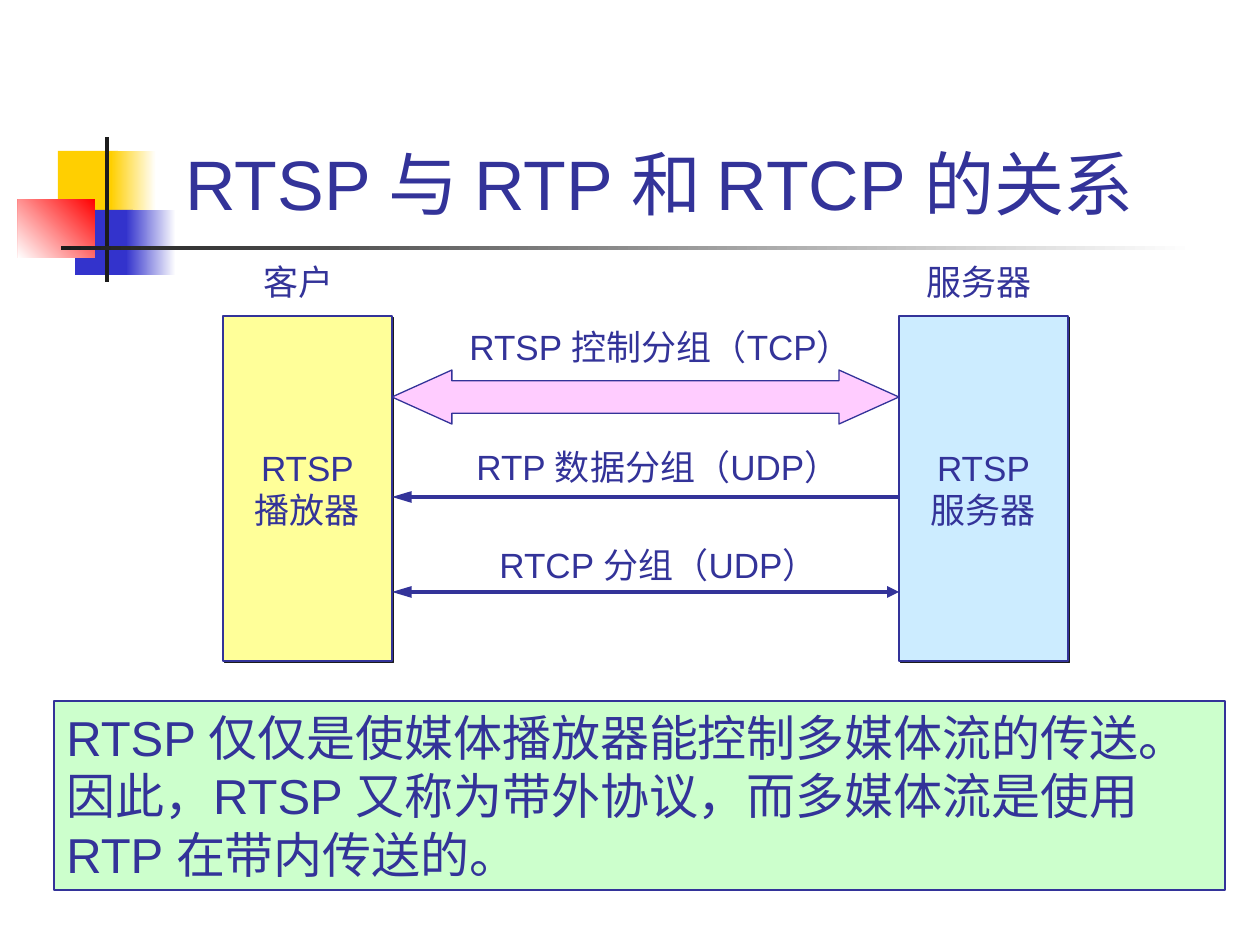
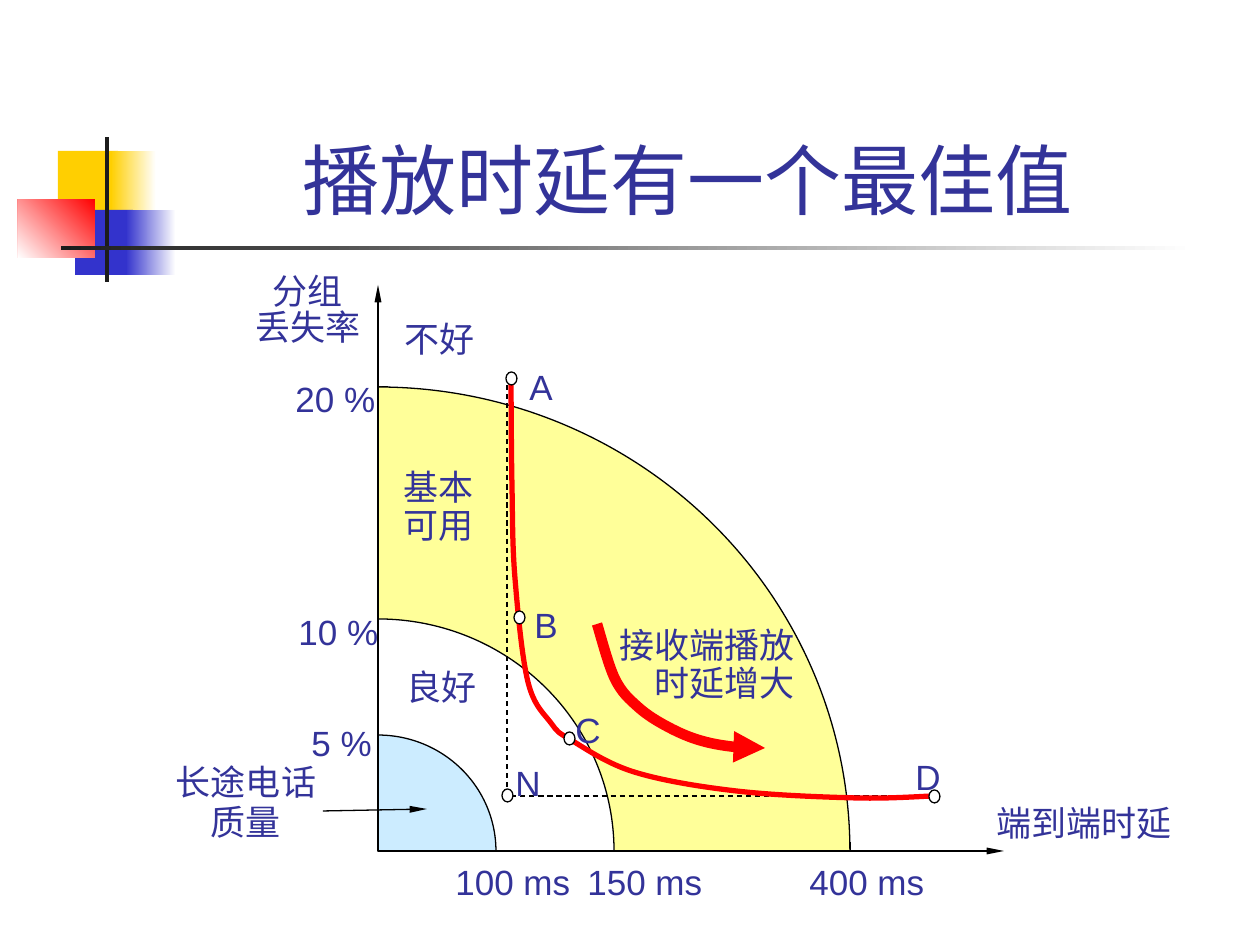
"""Builds two slides on streaming protocols and playback delay."""
import dataclasses

import lxml.etree
import pptx
import pptx.dml.color
import pptx.enum.dml
import pptx.enum.shapes
import pptx.enum.text
import pptx.oxml.ns
import pptx.util

PX = 914400 / 126
SHAPE = pptx.enum.shapes.MSO_SHAPE
ALIGN = pptx.enum.text.PP_ALIGN
ANCHOR = pptx.enum.text.MSO_ANCHOR
FIT = pptx.enum.text.MSO_AUTO_SIZE
MEDIUM, LONG, SLIM = ("med", "med"), ("med", "lg"), ("sm", "lg")
qn = pptx.oxml.ns.qn


@dataclasses.dataclass(frozen=True)
class Theme:
    font: str = "Arial"
    ink: str = "333399"
    black: str = "000000"
    white: str = "FFFFFF"
    dark: str = "1C1C1C"
    gold: str = "FFCF01"
    blue: str = "3333CC"
    red: str = "FF0000"
    yellow: str = "FFFF99"
    sky: str = "CCECFF"
    pink: str = "FFCCFF"
    mint: str = "CCFFCC"
    label: int = 20
    note: int = 28
    title: int = 44
    long_title: int = 40
    thin: float = 0.74
    axis: float = 1.5
    flow: float = 2.24
    curve: float = 3
    trend: float = 6


T = Theme()


def emu(*lengths):
    return [round(v * PX) for v in lengths]


def rgb(value):
    return pptx.dml.color.RGBColor.from_string(value)


def write(tf, text, size=T.label, align=ALIGN.LEFT, anchor=ANCHOR.TOP,
          wrap=False, fit=FIT.NONE, spacing=None):
    tf.word_wrap = wrap
    tf.auto_size = fit
    tf.vertical_anchor = anchor
    for i, line in enumerate(text.split("\n")):
        p = tf.add_paragraph() if i else tf.paragraphs[0]
        p.alignment = align
        p.line_spacing = spacing
        r = p.add_run()
        r.text = line
        r.font.name = T.font
        r.font.size = pptx.util.Pt(size)
        r.font.color.rgb = rgb(T.ink)


def bend(sp):
    """Turn the straight segments of a freeform into one smooth curve."""
    pts = [(int(pt.get("x")), int(pt.get("y")))
           for pt in sp.element.iter(qn("a:pt"))]
    ends = [pts[0], *pts, pts[-1]]
    segments = list(sp.element.iter(qn("a:lnTo")))
    for segment, a, b, c, d in zip(segments, ends, ends[1:], ends[2:], ends[3:]):
        segment.tag = qn("a:cubicBezTo")
        leave = [q + (r - p) / 6 for p, q, r in zip(a, b, c)]
        arrive = [r - (s - q) / 6 for q, r, s in zip(b, c, d)]
        for i, (x, y) in enumerate((leave, arrive)):
            pt = lxml.etree.Element(qn("a:pt"), x=str(round(x)), y=str(round(y)))
            segment.insert(i, pt)


class Deck:
    """Holds the presentation, its shared style and the current slide."""

    def __init__(self):
        self.prs = pptx.Presentation()
        self.prs.slide_width, self.prs.slide_height = emu(1260, 945)

    def slide(self, title, box, size):
        self.s = self.prs.slides.add_slide(self.prs.slide_layouts[6])
        self.box(58, 151, 60, 66, T.gold)
        self.box(111, 151, 45, 66, (T.white, T.gold), angle=180)
        self.box(75, 210, 58, 65, T.blue)
        self.box(126, 210, 50, 65, (T.white, T.blue), angle=180)
        self.box(18, 199, 77, 59, (T.red, T.white), angle=225)
        self.box(105, 137, 4, 145, T.dark)
        self.box(61, 246, 1134, 4, (T.white, T.dark), angle=180)
        sp = self.text(title, *box, size=size, align=ALIGN.CENTER,
                       anchor=ANCHOR.BOTTOM, wrap=True)
        sp.text_frame.margin_right = emu(29)[0]

    def paint(self, sp, fill=None, line=None, width=T.thin, angle=0):
        sp.shadow.inherit = False
        if fill is None:
            sp.fill.background()
        elif isinstance(fill, tuple):
            sp.fill.gradient()
            sp.fill.gradient_angle = angle
            for stop, color in zip(sp.fill.gradient_stops, fill):
                stop.color.rgb = rgb(color)
        else:
            sp.fill.solid()
            sp.fill.fore_color.rgb = rgb(fill)
        if line:
            self.stroke(sp, line, width)
        else:
            sp.line.fill.background()
        return sp

    def stroke(self, sp, color, width, head=None, tail=None):
        sp.line.color.rgb = rgb(color)
        sp.line.width = pptx.util.Pt(width)
        ln = sp.element.spPr.find(qn("a:ln"))
        for tag, size in (("a:headEnd", head), ("a:tailEnd", tail)):
            if size:
                w, length = size
                lxml.etree.SubElement(ln, qn(tag), type="triangle", w=w, len=length)

    def box(self, x, y, w, h, fill, line=None, shape=SHAPE.RECTANGLE, angle=0):
        sp = self.s.shapes.add_shape(shape, *emu(x, y, w, h))
        return self.paint(sp, fill, line, angle=angle)

    def drop_shadow(self, sp):
        effects = sp.element.spPr.find(qn("a:effectLst"))
        shadow = lxml.etree.SubElement(effects, qn("a:outerShdw"), dist="17780",
                                       dir="2700000", algn="ctr", rotWithShape="0")
        lxml.etree.SubElement(shadow, qn("a:srgbClr"), val=T.dark)

    def text(self, text, x, y, w, h, **fmt):
        sp = self.s.shapes.add_textbox(*emu(x, y, w, h))
        write(sp.text_frame, text, **fmt)
        return sp

    def label(self, text, x, y, w, h=55, **fmt):
        self.text(text, x, y, w, h, fit=FIT.SHAPE_TO_FIT_TEXT, **fmt)

    def line(self, x1, y1, x2, y2, color=T.black, width=T.thin, **ends):
        sp = self.s.shapes.add_connector(
            pptx.enum.shapes.MSO_CONNECTOR.STRAIGHT, *emu(x1, y1, x2, y2))
        self.stroke(sp, color, width, **ends)
        lxml.etree.SubElement(sp.element.spPr, qn("a:effectLst"))

    def outline(self, points, color=T.black, width=T.thin, tail=None):
        start, *rest = [emu(*point) for point in points]
        fb = self.s.shapes.build_freeform(*start)
        fb.add_line_segments(rest, close=False)
        sp = self.paint(fb.convert_to_shape())
        self.stroke(sp, color, width, tail=tail)
        return sp

    def curve(self, points, width, tail=None):
        bend(self.outline(points, T.red, width, tail))

    def sector(self, x, y, rx, ry, fill):
        sp = self.box(x - rx, y - ry, 2 * rx, 2 * ry, fill, T.black, SHAPE.PIE)
        sp.adjustments[0], sp.adjustments[1] = 162, 0

    def dot(self, x, y):
        self.box(x - 5, y - 6, 11, 13, T.white, T.black, SHAPE.OVAL)


def protocols(deck):
    deck.slide("RTSP 与 RTP 和 RTCP 的关系", (104, 125, 1128, 106), T.long_title)
    left, right, width = 223, 899, 169
    for x, fill, name in ((left, T.yellow, "RTSP\n播放器"),
                          (right, T.sky, "RTSP\n服务器")):
        sp = deck.box(x, 316, width, 345, fill, T.ink)
        deck.drop_shadow(sp)
        write(sp.text_frame, name, align=ALIGN.CENTER, anchor=ANCHOR.MIDDLE)
    for text, x, y, w in (("RTSP 控制分组（TCP）", 457, 319, 434),
                          ("RTP 数据分组（UDP）", 464, 439, 415),
                          ("RTCP 分组（UDP）", 487, 537, 370),
                          ("客户", 251, 254, 97),
                          ("服务器", 914, 254, 132)):
        deck.label(text, x, y, w)
    edge = left + width
    for y, tail in ((497, None), (592, MEDIUM)):
        deck.line(edge, y, right, y, T.ink, T.flow, head=LONG, tail=tail)
    sp = deck.box(edge, 370, right - edge, 54, T.pink, T.ink,
                  SHAPE.LEFT_RIGHT_ARROW)
    sp.adjustments[0], sp.adjustments[1] = 0.6, 1.11
    sp = deck.box(54, 701, 1171, 189, T.mint, T.ink)
    write(sp.text_frame, "RTSP 仅仅是使媒体播放器能控制多媒体流的传送。"
          "因此，RTSP 又称为带外协议，而多媒体流是使用 RTP 在带内传送的。",
          size=T.note, wrap=True)


def delay(deck):
    deck.slide("播放时延有一个最佳值", (159, 29, 1074, 202), T.title)
    x0, y0, rx, ry = 378, 851, 118, 116
    zones = ((4, T.yellow), (2, T.white), (1, T.sky))
    for k, _ in zones:
        deck.line(x0 + rx * k, y0 - 9, x0 + rx * k, y0 + 1)
        deck.line(x0 + 10, y0 - ry * k, x0, y0 - ry * k)
    for k, fill in zones:
        deck.sector(x0, y0, rx * k, ry * k, fill)
    deck.line(x0, y0, x0, 285, width=T.axis, tail=SLIM)
    deck.line(x0, y0, 1004, y0, width=T.axis, tail=SLIM)
    sp = deck.outline([(507, 376), (507, 796), (932, 796)])
    sp.line.dash_style = pptx.enum.dml.MSO_LINE.DASH
    deck.curve([(511, 382), (512, 486), (515, 578), (528, 682), (551, 723),
                (571, 740), (634, 772), (736, 791), (857, 798), (934, 796)],
               T.curve)
    for x, y in ((934, 796), (569, 738), (511, 378), (507, 795), (519, 617)):
        deck.dot(x, y)
    deck.line(323, 811, 427, 809, tail=SLIM)
    deck.curve([(597, 624), (615, 679), (638, 707), (668, 727),
                (702, 741), (743, 748), (765, 748)], T.trend, MEDIUM)
    for text, x, y, w in (("端到端时延", 984, 795, 203),
                          ("20 %", 283, 371, 105), ("10 %", 286, 604, 105),
                          ("5 %", 299, 715, 87), ("100 ms", 443, 854, 140),
                          ("150 ms", 575, 854, 141), ("400 ms", 797, 854, 140),
                          ("A", 517, 359, 49), ("B", 522, 597, 49),
                          ("C", 563, 702, 50), ("D", 903, 749, 50),
                          ("N", 503, 755, 50), ("良好", 394, 659, 97),
                          ("不好", 392, 311, 97)):
        deck.label(text, x, y, w)
    for text, x, y, w, h, spacing, align in (
            ("分组\n丢失率", 242, 270, 132, 84, 0.85, ALIGN.CENTER),
            ("基本\n可用", 391, 464, 97, 88, 0.9, ALIGN.LEFT),
            ("长途电话\n质量", 162, 757, 168, 93, 0.95, ALIGN.CENTER),
            ("接收端播放\n时延增大", 604, 622, 203, 88, 0.9, ALIGN.RIGHT)):
        deck.label(text, x, y, w, h, spacing=spacing, align=align)


deck = Deck()
protocols(deck)
delay(deck)
deck.prs.save("out.pptx")
